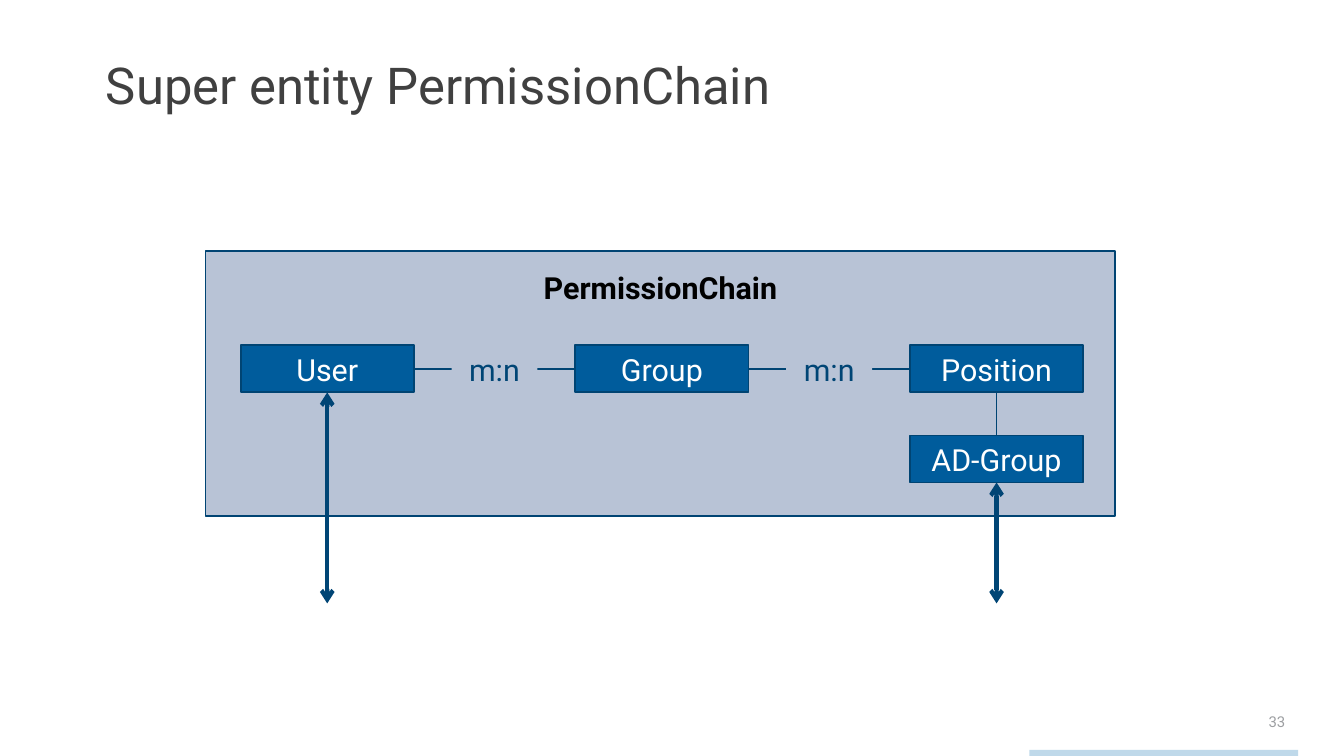
"""Build the PermissionChain entity diagram slide."""
from dataclasses import dataclass
from typing import Optional

from lxml.etree import SubElement
from pptx import Presentation
from pptx.dml.color import RGBColor
from pptx.enum.shapes import MSO_CONNECTOR, MSO_SHAPE
from pptx.enum.text import MSO_ANCHOR, PP_ALIGN
from pptx.oxml.ns import qn
from pptx.shapes.autoshape import Shape
from pptx.slide import Slide
from pptx.util import Inches, Pt

WHITE = RGBColor(0xFF, 0xFF, 0xFF)
BLACK = RGBColor(0x00, 0x00, 0x00)
TITLE_GRAY = RGBColor(0x40, 0x40, 0x40)
NUMBER_GRAY = RGBColor(0x9D, 0x9F, 0xA2)
ACCENT = RGBColor(0xBF, 0xD9, 0xEA)
PANEL_FILL = RGBColor(0xB8, 0xC3, 0xD6)
ENTITY_FILL = RGBColor(0x00, 0x5C, 0x9C)
OUTLINE = RGBColor(0x00, 0x44, 0x73)
NAVY = RGBColor(0x00, 0x45, 0x75)

FONT = "Roboto"
BODY_SIZE = 16.3
SLIDE_WIDTH = 10
SLIDE_HEIGHT = SLIDE_WIDTH * 9 / 16
GRID_LEFT, GRID_TOP = 1.79, 2.57
COLUMN_PITCH, ROW_PITCH = 2.49, 0.67
ENTITY_WIDTH, ENTITY_HEIGHT = 1.29, 0.35
LABEL_WIDTH, LABEL_HEIGHT = 0.64, 0.3
ARROW_END = 4.49


@dataclass(frozen=True)
class Area:
    """A rectangle in inches."""
    left: float
    top: float
    width: float
    height: float


@dataclass(frozen=True)
class Entity:
    """A named entity in a cell of the grid."""
    name: str
    column: int
    row: int = 0

    @property
    def area(self) -> Area:
        """Return the rectangle of the cell."""
        return Area(GRID_LEFT + self.column * COLUMN_PITCH,
                    GRID_TOP + self.row * ROW_PITCH, ENTITY_WIDTH, ENTITY_HEIGHT)

    @property
    def center(self) -> tuple[float, float]:
        """Return the middle of the cell."""
        return (self.area.left + ENTITY_WIDTH / 2, self.area.top + ENTITY_HEIGHT / 2)

    @property
    def bottom(self) -> float:
        """Return the lower edge of the cell."""
        return self.area.top + ENTITY_HEIGHT


USER, GROUP, POSITION = (Entity(name, column)
                         for column, name in enumerate(("User", "Group", "Position")))
AD_GROUP = Entity("AD-Group", 2, 1)


def write(shape: Shape, text: str, size: float, color: RGBColor,
          align: PP_ALIGN = PP_ALIGN.CENTER, bold: bool = False) -> None:
    """Put one styled paragraph into a shape."""
    shape.text_frame.word_wrap = True
    paragraph = shape.text_frame.paragraphs[0]
    paragraph.text = text
    paragraph.alignment = align
    paragraph.font.name = FONT
    paragraph.font.size = Pt(size)
    paragraph.font.bold = bold
    paragraph.font.color.rgb = color


def add_text(slide: Slide, area: Area, text: str, size: float, color: RGBColor,
             align: PP_ALIGN = PP_ALIGN.LEFT, bold: bool = False) -> Shape:
    """Add a plain text box."""
    box = slide.shapes.add_textbox(Inches(area.left), Inches(area.top),
                                   Inches(area.width), Inches(area.height))
    write(box, text, size, color, align, bold)
    return box


def add_box(slide: Slide, area: Area, fill: RGBColor, outline: Optional[RGBColor] = None,
            text: str = "", color: RGBColor = WHITE) -> None:
    """Add a filled rectangle with optional outline and centred text."""
    box = slide.shapes.add_shape(MSO_SHAPE.RECTANGLE, Inches(area.left), Inches(area.top),
                                 Inches(area.width), Inches(area.height))
    box.shadow.inherit = False
    box.fill.solid()
    box.fill.fore_color.rgb = fill
    if outline is None:
        box.line.fill.background()
    else:
        box.line.color.rgb = outline
        box.line.width = Pt(1)
    if text:
        frame = box.text_frame
        frame.vertical_anchor = MSO_ANCHOR.MIDDLE
        frame.margin_left = frame.margin_right = Inches(0.04)
        frame.margin_top = frame.margin_bottom = Inches(0.05)
        write(box, text, BODY_SIZE, color)


def add_line(slide: Slide, start: tuple[float, float], end: tuple[float, float],
             color: RGBColor = OUTLINE, width: float = 1, arrows: bool = False) -> None:
    """Add a straight line, with an arrowhead at both ends if asked."""
    line = slide.shapes.add_connector(MSO_CONNECTOR.STRAIGHT,
                                      *(Inches(value) for value in (*start, *end)))
    line.line.color.rgb = color
    line.line.width = Pt(width)
    if arrows:
        for tag in ("a:headEnd", "a:tailEnd"):
            SubElement(line.line._get_or_add_ln(), qn(tag), type="arrow")
    SubElement(line._element.spPr, qn("a:effectLst"))


def add_relation(slide: Slide, source: Entity, target: Entity) -> None:
    """Join two neighbours in a row with an m:n relation."""
    start, middle = source.area.left + ENTITY_WIDTH, source.center[1]
    end = target.area.left
    add_line(slide, (start, middle), (end, middle))
    label = Area((start + end - LABEL_WIDTH) / 2, middle - LABEL_HEIGHT / 2,
                 LABEL_WIDTH, LABEL_HEIGHT)
    add_box(slide, label, PANEL_FILL, text="m:n", color=NAVY)


def main() -> None:
    """Draw the slide and save it."""
    deck = Presentation()
    deck.slide_width, deck.slide_height = Inches(SLIDE_WIDTH), Inches(SLIDE_HEIGHT)
    slide = deck.slides.add_slide(deck.slide_layouts[6])

    add_text(slide, Area(9.34, 5.25, 0.48, 0.33), "33", 8, NUMBER_GRAY)
    add_box(slide, Area(7.66, 5.58, 2, 0.05), ACCENT)
    add_box(slide, Area(1.53, 1.87, 6.77, 1.97), PANEL_FILL, OUTLINE)
    title = add_text(slide, Area(0.69, 0.4, 8.95, 0.83),
                     "Super entity PermissionChain", 27.2, TITLE_GRAY)
    title.text_frame.paragraphs[0].line_spacing = 0.9

    for entity in (USER, POSITION, AD_GROUP, GROUP):
        add_box(slide, entity.area, ENTITY_FILL, OUTLINE, entity.name)
    for source, target in ((USER, GROUP), (GROUP, POSITION)):
        add_relation(slide, source, target)
    center = POSITION.center[0]
    add_line(slide, (center, POSITION.bottom), (center, AD_GROUP.area.top))
    for entity in (USER, AD_GROUP):
        center = entity.center[0]
        add_line(slide, (center, entity.bottom), (center, ARROW_END), NAVY, 2.25, True)

    add_text(slide, Area(3.66, 1.95, 2.51, 0.38), "PermissionChain", BODY_SIZE, BLACK,
             PP_ALIGN.CENTER, True)
    deck.save("out.pptx")


if __name__ == "__main__":
    main()
